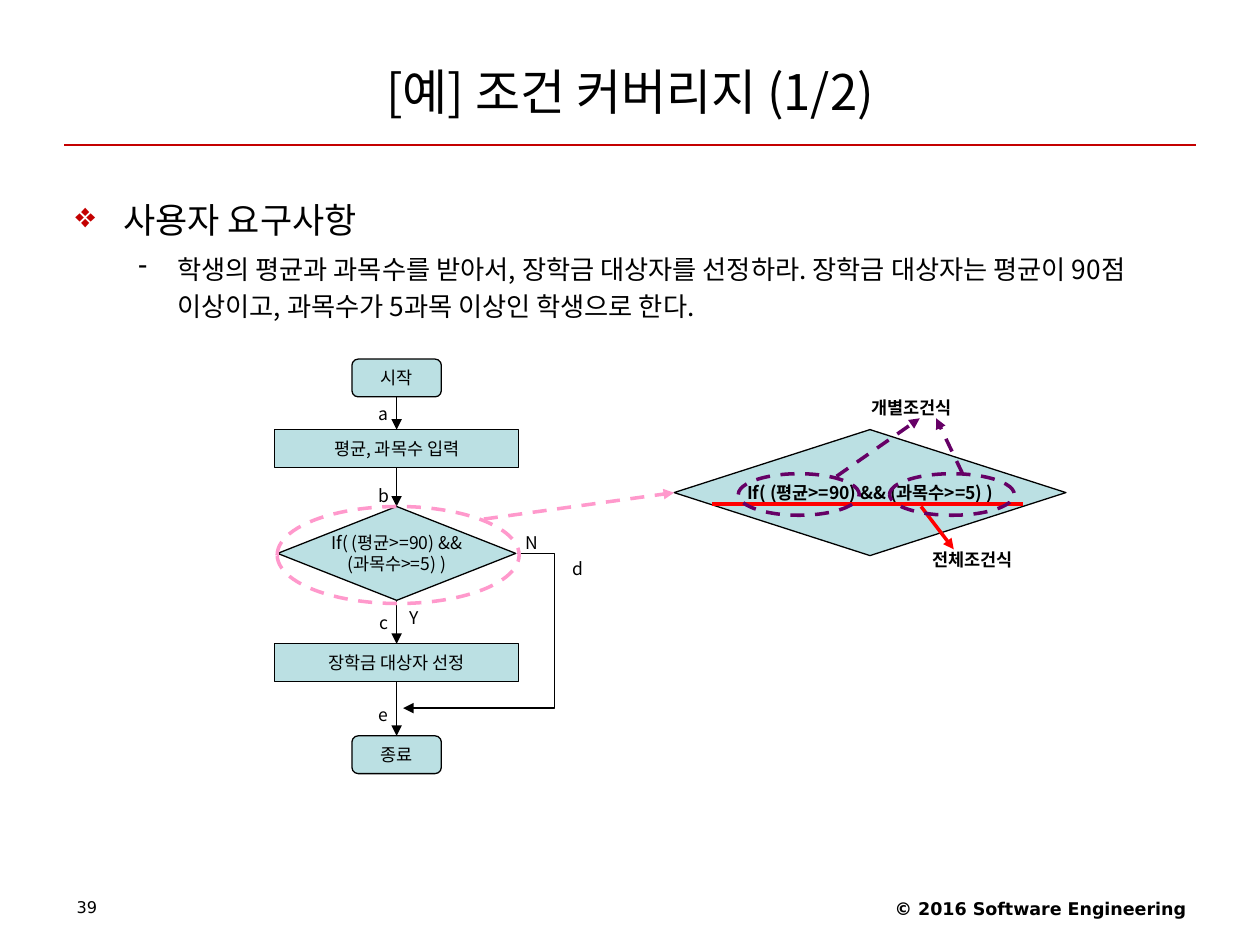
"""Builds the condition coverage example slide with its flowchart."""
from lxml import etree
from pptx import Presentation
from pptx import util as u
from pptx.dml.color import RGBColor
from pptx.enum import dml, shapes, text
from pptx.oxml import parse_xml
from pptx.oxml.ns import nsdecls, qn

C = {"ink": "000000", "rule": "C40000", "node": "BBE0E3", "whole": "FF0000",
     "part": "660066", "zoom": "FF99CC"}
KR, LATIN = "Noto Sans CJK KR", "DejaVu Sans"
MS, AL = shapes.MSO_SHAPE, text.PP_ALIGN

prs = Presentation()
prs.slide_width, prs.slide_height = u.Inches(10), u.Inches(7.5)
s = prs.slides.add_slide(prs.slide_layouts[6])
COL, ROW = prs.slide_width / 100, prs.slide_height / 75


def put(x, y, w, h, lines="", kind=None, size=10, bold=False, align=AL.CENTER,
        font=KR, fill="node", line="ink", before=0):
    box = [int(x * COL), int(y * ROW), int(w * COL), int(h * ROW)]
    sp = s.shapes.add_shape(kind, *box) if kind else s.shapes.add_textbox(*box)
    tf = sp.text_frame
    tf.word_wrap = not kind
    if kind:
        sp.shadow.inherit = False
        sp.line.color.rgb = RGBColor.from_string(C[line])
        sp.line.width = u.Pt(0.75 if fill else 2)
        tf.vertical_anchor = text.MSO_ANCHOR.MIDDLE
        if fill:
            sp.fill.solid()
            sp.fill.fore_color.rgb = RGBColor.from_string(C[fill])
        else:
            sp.fill.background()
            sp.line.dash_style = dml.MSO_LINE.DASH
    if lines:
        tf.text = lines
        for p in tf.paragraphs:
            p.alignment, p.space_before = align, u.Pt(before)
            p.font.size, p.font.bold, p.font.name = u.Pt(size), bold, font
            p.font.color.rgb = RGBColor.from_string(C["ink"])
            etree.SubElement(p._p.pPr.find(qn("a:defRPr")), qn("a:ea"), typeface=font)
    return sp


def link(x1, y1, x2, y2, color="ink", width=0.75, head=True, dash=False,
         kind=shapes.MSO_CONNECTOR.STRAIGHT):
    cx = s.shapes.add_connector(kind, int(x1 * COL), int(y1 * ROW), int(x2 * COL), int(y2 * ROW))
    cx.line.color.rgb = RGBColor.from_string(C[color])
    cx.line.width = u.Pt(width)
    if dash:
        cx.line.dash_style = dml.MSO_LINE.DASH
    if head:
        etree.SubElement(cx.line._get_or_add_ln(), qn("a:tailEnd"), type="triangle")
    etree.SubElement(cx._element.spPr, qn("a:effectLst"))
    return cx


link(5.1, 11.5, 94.9, 11.5, "rule", head=False)
put(63.4, 70.8, 31.7, 2.9, "© 2016 Software Engineering", bold=True, align=AL.RIGHT, font=LATIN)
put(5.1, 70.9, 23.3, 2.8, "39", size=9.2, align=AL.LEFT, font=LATIN).text_frame.paragraphs[0].line_spacing = 0.9
title = put(5, 3, 90, 8.5, "[예] 조건 커버리지 (1/2)", size=28)
title.text_frame.vertical_anchor = text.MSO_ANCHOR.MIDDLE

body = put(5, 13.9, 90, 55.1,
           "사용자 요구사항\n학생의 평균과 과목수를 받아서, 장학금 대상자를 선정하라. "
           "장학금 대상자는 평균이 90점 이상이고, 과목수가 5과목 이상인 학생으로 한다.", align=AL.LEFT)
styles = [(20, 1.4, 5, 3.8, 3.8, "❖", "rule"), (15, 1.2, 3.7, 8.1, 3.1, "-", "ink")]
for p, (size, spacing, before, left, hang, mark, color) in zip(body.text_frame.paragraphs, styles):
    p.font.size, p.line_spacing, p.space_before = u.Pt(size), spacing, u.Pt(before)
    pPr = p._p.pPr
    pPr.set("marL", str(int(left * COL)))
    pPr.set("indent", str(int(-hang * COL)))
    for xml in (f'<a:buClr {nsdecls("a")}><a:srgbClr val="{C[color]}"/></a:buClr>',
                f'<a:buChar {nsdecls("a")} char="{mark}"/>'):
        pPr.find(qn("a:defRPr")).addprevious(parse_xml(xml))

AXIS = 31.48
steps = [("시작", MS.FLOWCHART_ALTERNATE_PROCESS, 28.5, 7.1, 3),
         ("평균, 과목수 입력", MS.FLOWCHART_PROCESS, 34.1, 19.4, 3),
         ("If( (평균>=90) &&\n(과목수>=5) )", MS.FLOWCHART_DECISION, 40.2, 18.9, 7.45),
         ("장학금 대상자 선정", MS.FLOWCHART_PROCESS, 51.1, 19.4, 3),
         ("종료", MS.FLOWCHART_ALTERNATE_PROCESS, 58.4, 7.1, 3)]
nodes = [put(AXIS - w / 2, y, w, h, name, kind) for name, kind, y, w, h in steps]
for above, below in zip(nodes, nodes[1:]):
    arrow = link(AXIS, 0, AXIS, 1)
    arrow.begin_connect(above, 2)
    arrow.end_connect(below, 0)

bypass = link(41, 43.95, 32, 56.2, kind=shapes.MSO_CONNECTOR.ELBOW)
guides = bypass._element.spPr.find(qn("a:prstGeom")).get_or_add_avLst()
etree.SubElement(guides, qn("a:gd"), name="adj1", fmla="val -33333")

for label, x, y in [("a", 28.9, 31.5), ("b", 28.9, 38), ("c", 28.9, 48.1),
                    ("e", 28.9, 55.4), ("d", 44.3, 43.8)]:
    put(x, y, 3.1, 2.7, label, before=6.2)
for label, x, y in [("Y", 31.5, 47.7), ("N", 40.7, 41.7)]:
    put(x, y, 5.1, 2.7, label, align=AL.LEFT, before=6.2)

condition = put(53.5, 34.1, 31.1, 10, "If( (평균>=90) && (과목수>=5) )", MS.FLOWCHART_DECISION, bold=True)
link(56.5, 40, 81.2, 40, "whole", 2, head=False)
link(73.1, 40.2, 75.7, 43.6, "whole", 2)
for label, x, y in [("전체조건식", 73, 43.1), ("개별조건식", 68.2, 31)]:
    put(x, y, 13, 2.7, label, bold=True, align=AL.LEFT, before=6.2)
for x, w, x1, y1, x2 in [(58.6, 9.6, 66.4, 37.8, 73), (70.6, 9.9, 76.4, 37.6, 74.3)]:
    put(x, 37.6, w, 3.3, kind=MS.OVAL, fill=None, line="part")
    link(x1, y1, x2, 33.2, "part", 2, dash=True)

put(22, 40.2, 19.2, 7.7, kind=MS.OVAL, fill=None, line="zoom")
link(38.4, 41.2, 53.5, 39.1, "zoom", 2, dash=True).end_connect(condition, 1)

prs.save("out.pptx")
